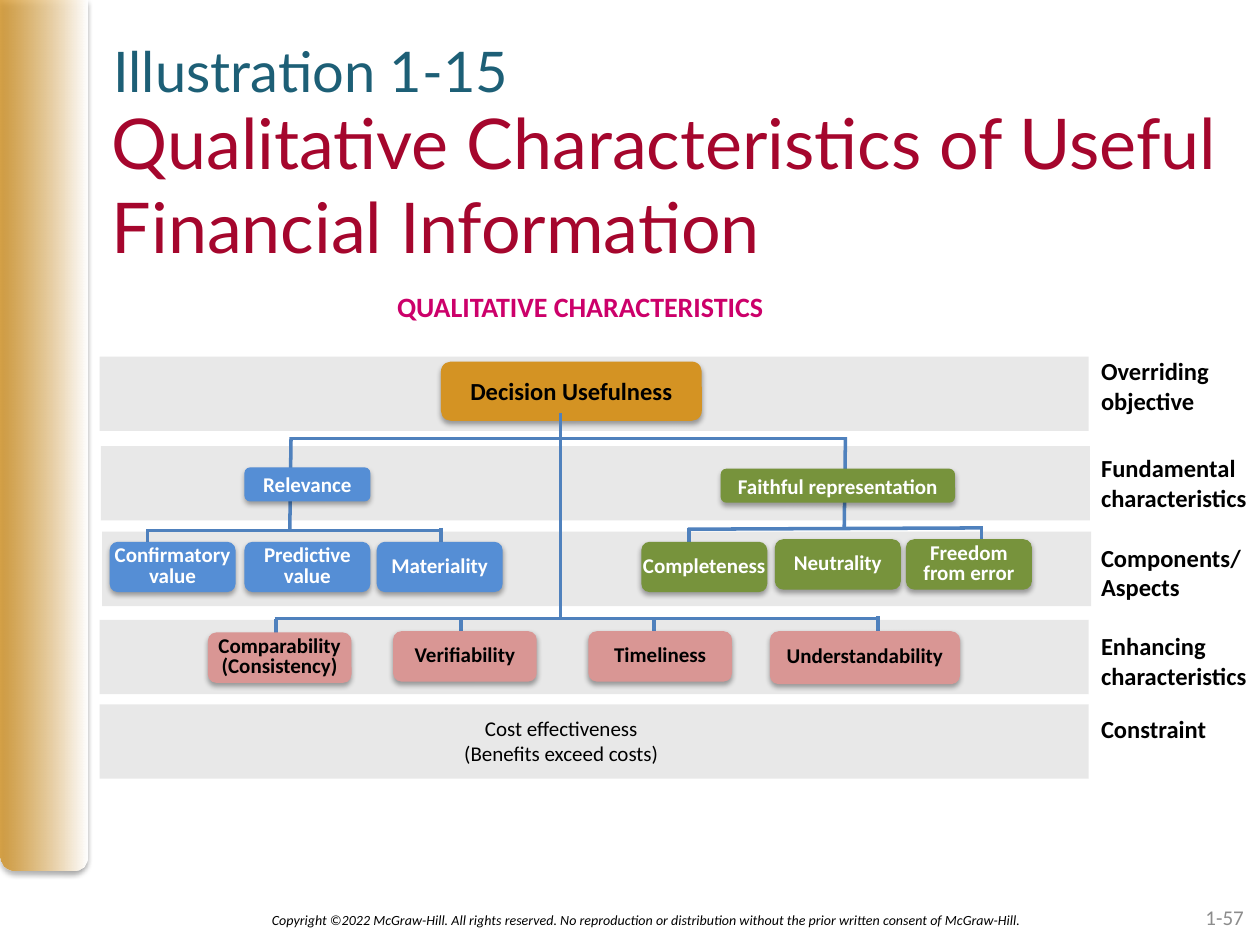
from dataclasses import dataclass

from lxml import etree
from pptx import Presentation
from pptx import util as u
from pptx.dml.color import RGBColor
from pptx.enum import shapes, text
from pptx.oxml import ns


@dataclass(frozen=True)
class Theme:
    heading_font: str = "Lato"
    body_font: str = "Calibri"
    gold: str = "D49323"
    white: str = "FFFFFF"
    black: str = "000000"
    crimson: str = "A5062D"
    teal: str = "1D5F76"
    magenta: str = "CC006A"
    gray: str = "8C8C8C"
    band: str = "D9D9D9"
    link: str = "4F81BD"
    blue: str = "558ED5"
    green: str = "77933C"
    rose: str = "D99694"
    title_size: int = 40
    subtitle_size: int = 32
    caption_size: int = 16
    label_size: int = 14
    node_size: int = 12
    footer_size: int = 8


THEME = Theme()
LEFT, CENTER, RIGHT = text.PP_ALIGN.LEFT, text.PP_ALIGN.CENTER, text.PP_ALIGN.RIGHT
TOP, MIDDLE = text.MSO_ANCHOR.TOP, text.MSO_ANCHOR.MIDDLE

# band left, band top, label top, label
LEVELS = [
    (0.79, 2.83, 2.78, "Overriding\nobjective"),
    (0.80, 3.54, 3.55, "Fundamental\ncharacteristics"),
    (0.81, 4.22, 4.26, "Components/\nAspects"),
    (0.79, 4.92, 4.96, "Enhancing\ncharacteristics"),
    (0.79, 5.59, 5.62, "Constraint"),
]
# wording, (left, top, width, height), fill, text colour, size, line spacing
NODES = [
    ("Decision Usefulness", (3.5, 2.87, 2.07, 0.47), THEME.gold, THEME.black, THEME.label_size, 1),
    ("Relevance", (1.94, 3.71, 1, 0.27), THEME.blue, THEME.white, THEME.node_size, 1),
    ("Faithful representation", (5.72, 3.72, 1.86, 0.27), THEME.green, THEME.white, THEME.node_size, 1),
] + [
    (wording, (left, top, 1, 0.4), fill, THEME.white, THEME.node_size, 0.8)
    for wording, left, top, fill in [
        ("Confirmatory\vvalue", 0.87, 4.3, THEME.blue),
        ("Predictive\vvalue", 1.94, 4.3, THEME.blue),
        ("Materiality", 2.99, 4.3, THEME.blue),
        ("Completeness", 5.09, 4.3, THEME.green),
        ("Neutrality", 6.15, 4.28, THEME.green),
        ("Freedom\vfrom error", 7.19, 4.28, THEME.green),
    ]
] + [
    (wording, (left, top, width, height), THEME.rose, THEME.black, THEME.node_size, 0.8)
    for wording, left, top, width, height in [
        ("Comparability\n(Consistency)", 1.65, 5.02, 1.14, 0.4),
        ("Verifiability", 3.12, 5.01, 1.14, 0.4),
        ("Timeliness", 4.67, 5.01, 1.14, 0.4),
        ("Understandability", 6.11, 5.01, 1.51, 0.42),
    ]
]
TRUNK_X = 4.45
COMPONENT_STEMS = [(1.17, 4.21), (3.5, 4.19), (5.47, 4.19), (7.79, 4.19)]
ENHANCING_STEMS = [(2.19, 4.91), (3.66, 4.91), (5.19, 4.91), (6.97, 4.89)]
STEM_LENGTH = 0.42
BRANCHES = [
    (1.16, 4.21, 3.5, 4.21),
    (5.46, 4.2, 7.8, 4.19),
    (2.18, 4.91, 6.97, 4.91),
    (2.31, 3.47, 2.3, 4.2),
    (6.71, 3.47, 6.7, 4.2),
    (2.3, 3.48, TRUNK_X, 3.48),
    (TRUNK_X, 3.48, 6.71, 3.48),
]


def inches(values):
    return [u.Inches(value) for value in values]


def write(holder, wording, *, size, color, font=THEME.body_font, bold=False, italic=False,
          align=LEFT, anchor=TOP, spacing=None, inset=None, wrap=True):
    """Fill a shape with text; a newline starts a paragraph, a vertical tab breaks a line."""
    frame = holder.text_frame
    frame.word_wrap = wrap
    frame.vertical_anchor = anchor
    if inset is not None:
        frame.margin_left = frame.margin_right = u.Inches(inset)
        frame.margin_top = frame.margin_bottom = u.Inches(inset)
    for index, line in enumerate(wording.split("\n")):
        paragraph = frame.add_paragraph() if index else frame.paragraphs[0]
        paragraph.text = line
        paragraph.alignment = align
        paragraph.line_spacing = spacing
        for run in paragraph.runs:
            run.font.name = font
            run.font.size = u.Pt(size)
            run.font.bold = bold
            run.font.italic = italic
            run.font.color.rgb = RGBColor.from_string(color)


def add_text(slide, box, wording, **style):
    write(slide.shapes.add_textbox(*inches(box)), wording, **style)


def set_alpha(color_element, percent):
    etree.SubElement(color_element, ns.qn("a:alpha"), val=str(percent * 1000))


def add_block(slide, kind, box, fill):
    block = slide.shapes.add_shape(kind, *inches(box))
    block.shadow.inherit = False
    block.line.fill.background()
    block.fill.solid()
    block.fill.fore_color.rgb = RGBColor.from_string(fill)
    return block


def drop_shadow(block):
    effects = block._element.spPr.find(ns.qn("a:effectLst"))
    shadow = etree.SubElement(effects, ns.qn("a:outerShdw"), blurRad=str(u.Pt(3.1)),
                              dist=str(u.Pt(1.8)), dir="5400000", rotWithShape="0")
    set_alpha(etree.SubElement(shadow, ns.qn("a:srgbClr"), val=THEME.black), 35)


def add_side_panel(slide):
    panel = add_block(slide, shapes.MSO_SHAPE.ROUND_2_SAME_RECTANGLE, (0, 0, 0.69, 6.91), THEME.gold)
    panel.adjustments[0], panel.adjustments[1] = 0, 0.17
    panel.fill.gradient()
    panel.fill.gradient_angle = 0
    for stop, position, color in zip(panel.fill.gradient_stops, (0, 1), (THEME.gold, THEME.white)):
        stop.position = position
        stop.color.rgb = RGBColor.from_string(color)
    set_alpha(panel._element.spPr.find(".//" + ns.qn("a:srgbClr")), 80)
    drop_shadow(panel)


def add_level(slide, left, top, label_top, label):
    band = add_block(slide, shapes.MSO_SHAPE.RECTANGLE, (left, top, 7.85, 0.59), THEME.band)
    set_alpha(band._element.spPr.find(".//" + ns.qn("a:srgbClr")), 60)
    add_text(slide, (8.64, label_top, 1.36, 0.57), label, size=THEME.label_size,
             color=THEME.black, bold=True, wrap=False)


def add_link(slide, *ends):
    link = slide.shapes.add_connector(shapes.MSO_CONNECTOR.STRAIGHT, *inches(ends))
    link.line.color.rgb = RGBColor.from_string(THEME.link)
    link.line.width = u.Pt(2)
    etree.SubElement(link._element.spPr, ns.qn("a:effectLst"))


def add_node(slide, wording, box, fill, color, size, spacing):
    node = add_block(slide, shapes.MSO_SHAPE.ROUNDED_RECTANGLE, box, fill)
    drop_shadow(node)
    write(node, wording, size=size, color=color, bold=True, align=CENTER,
          anchor=MIDDLE, spacing=spacing, inset=0, wrap=False)


def add_headings(slide):
    add_text(slide, (0.79, 0.74, 9, 1.25), "Qualitative Characteristics of Useful Financial Information",
             size=THEME.title_size, color=THEME.crimson, font=THEME.heading_font)
    add_text(slide, (0.9, 0.29, 7.45, 0.36), "Illustration 1-15", size=THEME.subtitle_size,
             color=THEME.teal, font=THEME.heading_font, inset=0)
    add_text(slide, (2.37, 2.25, 4.47, 0.37), "QUALITATIVE CHARACTERISTICS",
             size=THEME.caption_size, color=THEME.magenta, bold=True, align=CENTER)


def add_footer(slide):
    add_text(slide, (1.56, 7.1, 7.15, 0.4),
             "Copyright ©2022 McGraw-Hill. All rights reserved. No reproduction or distribution "
             "without the prior written consent of McGraw-Hill.",
             size=THEME.footer_size, color=THEME.black, italic=True, align=CENTER, anchor=MIDDLE)
    add_text(slide, (7.64, 7.08, 2.33, 0.4), "1-57", size=THEME.node_size, color=THEME.gray,
             align=RIGHT, anchor=MIDDLE)


def main():
    deck = Presentation()
    deck.slide_width, deck.slide_height = inches((10, 7.5))
    slide = deck.slides.add_slide(deck.slide_layouts[6])
    add_side_panel(slide)
    add_headings(slide)
    add_footer(slide)
    for level in LEVELS:
        add_level(slide, *level)
    for x, top in COMPONENT_STEMS + ENHANCING_STEMS:
        add_link(slide, x, top, x, top + STEM_LENGTH)
    for branch in BRANCHES:
        add_link(slide, *branch)
    for node in NODES:
        add_node(slide, *node)
    add_link(slide, TRUNK_X, 3.28, TRUNK_X, 4.91)
    add_text(slide, (3.07, 5.63, 2.77, 0.5), "Cost effectiveness\n(Benefits exceed costs)",
             size=THEME.node_size, color=THEME.black, align=CENTER)
    deck.save("out.pptx")


if __name__ == "__main__":
    main()
